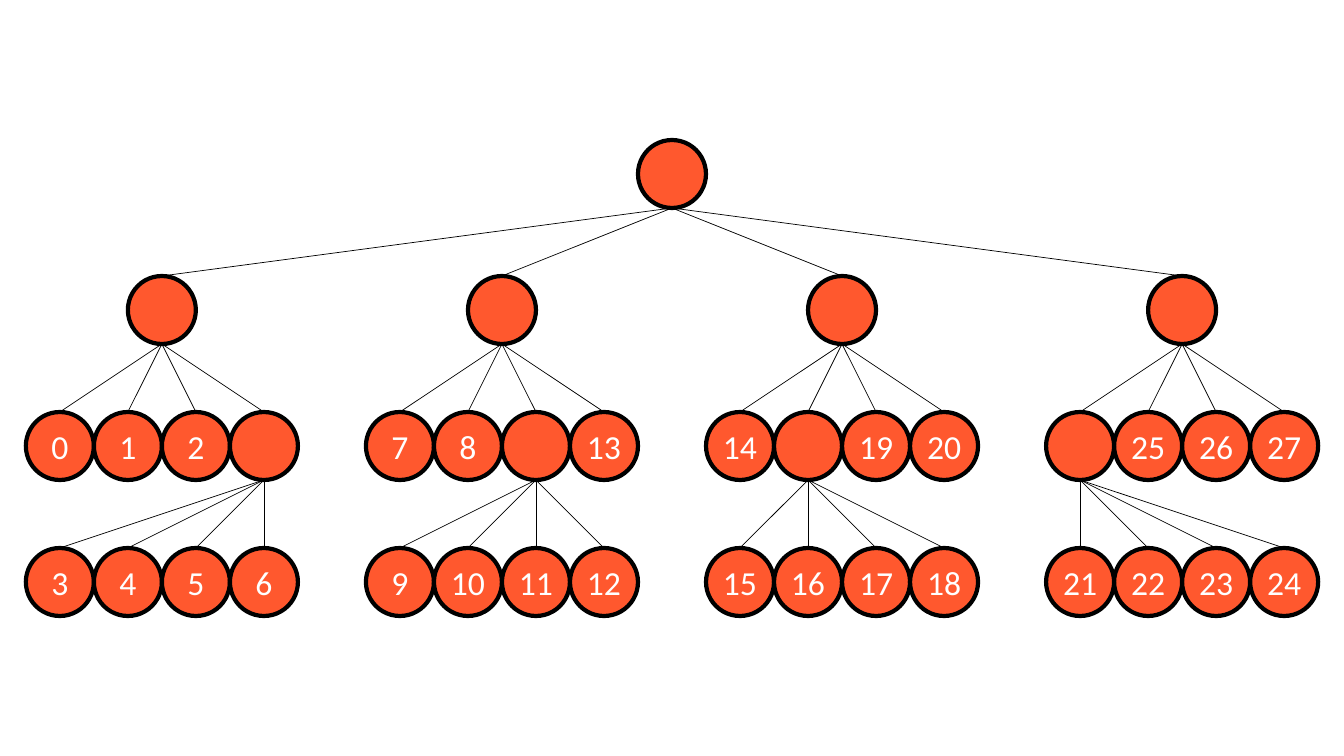
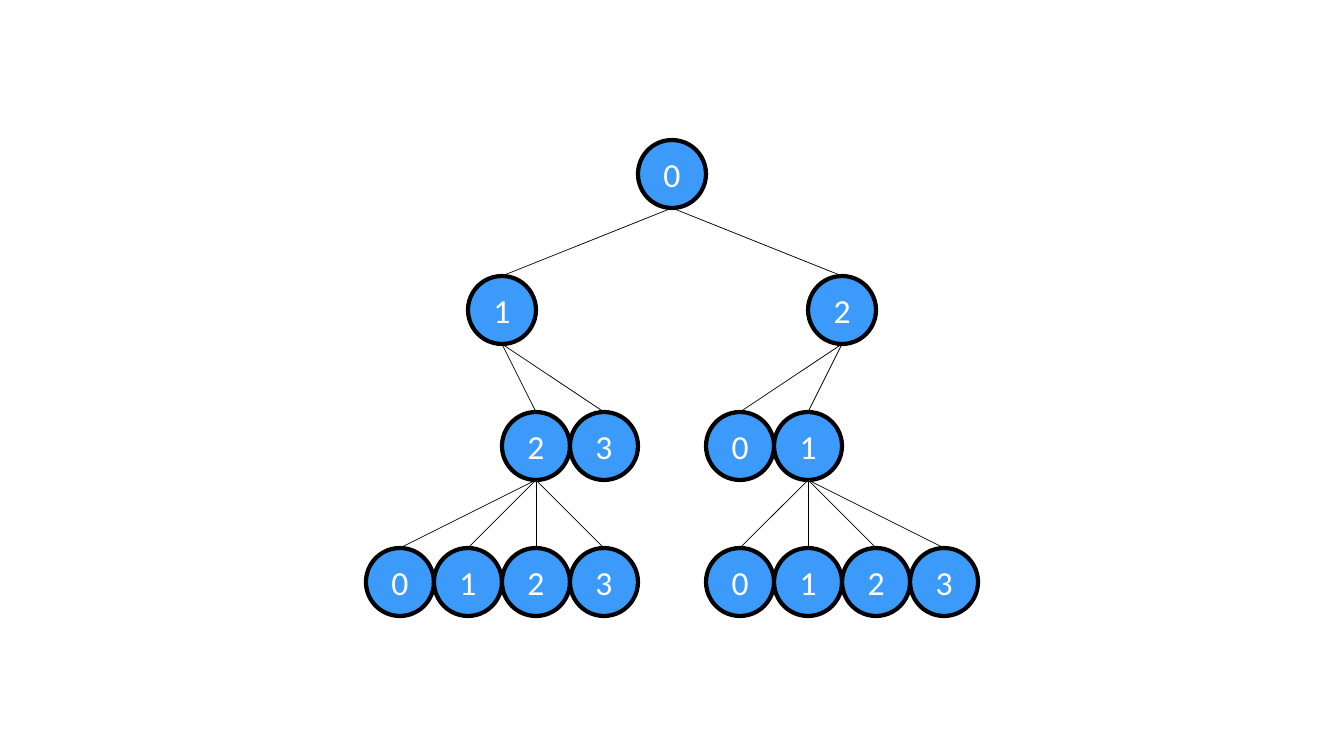
from dataclasses import dataclass

from lxml.etree import SubElement
from pptx import Presentation
from pptx.dml.color import RGBColor
from pptx.enum.shapes import MSO_CONNECTOR, MSO_SHAPE
from pptx.enum.text import MSO_ANCHOR, PP_ALIGN
from pptx.oxml.ns import qn
from pptx.util import Inches, Pt

# Content: one tree per slide. Each branch has its group (0 to 3), its label,
# four slots (None = no node), the slot that opens, and the four leaves below.
TREES = [
    {"fill": "FF582E", "root": "", "branches": [
        (0, "", ["0", "1", "2", ""], 3, ["3", "4", "5", "6"]),
        (1, "", ["7", "8", "", "13"], 2, ["9", "10", "11", "12"]),
        (2, "", ["14", "", "19", "20"], 1, ["15", "16", "17", "18"]),
        (3, "", ["", "25", "26", "27"], 0, ["21", "22", "23", "24"]),
    ]},
    {"fill": "3C9BFA", "root": "0", "branches": [
        (1, "1", [None, None, "2", "3"], 2, ["0", "1", "2", "3"]),
        (2, "2", ["0", "1", None, None], 1, ["0", "1", "2", "3"]),
    ]},
]


@dataclass(frozen=True)
class Theme:
    font: str = "Calibri"
    size: float = 24
    text: str = "FFFFFF"
    line: str = "000000"
    ring: float = 3
    edge: float = 0.5


THEME = Theme()

# Grid: a column is one node wide, a row two nodes high, centred on the slide
WIDE, HIGH = Inches(13.33), Inches(7.5)
NODE = WIDE / 19.76
ROW = 2 * NODE
GROUP, SLOTS, ROWS = 5, 4, 4


def spot(col, row):
    """Centre of a node; column 0 is the middle of the slide."""
    return WIDE / 2 + col * NODE, HIGH / 2 + (row - (ROWS - 1) / 2) * ROW


def stroke(line, width):
    line.color.rgb = RGBColor.from_string(THEME.line)
    line.width = Pt(width)


def write(shape, text, size=THEME.size, color=THEME.text, align=PP_ALIGN.CENTER):
    frame = shape.text_frame
    frame.word_wrap = False
    frame.vertical_anchor = MSO_ANCHOR.MIDDLE
    para = frame.paragraphs[0]
    para.alignment = align
    run = para.add_run()
    run.text = text
    run.font.name = THEME.font
    run.font.size = Pt(size)
    run.font.color.rgb = RGBColor.from_string(color)


def add_node(slide, place, text, fill):
    x, y = spot(*place)
    left, top, size = (int(v) for v in (x - NODE / 2, y - NODE / 2, NODE))
    node = slide.shapes.add_shape(MSO_SHAPE.OVAL, left, top, size, size)
    node.shadow.inherit = False
    node.fill.solid()
    node.fill.fore_color.rgb = RGBColor.from_string(fill)
    stroke(node.line, THEME.ring)
    if text:
        write(node, text)


def add_edge(slide, parent, child):
    (x1, y1), (x2, y2) = spot(*parent), spot(*child)
    ends = (int(v) for v in (x1, y1 + NODE / 2, x2, y2 - NODE / 2))
    edge = slide.shapes.add_connector(MSO_CONNECTOR.STRAIGHT, *ends)
    stroke(edge.line, THEME.edge)
    SubElement(edge.element.spPr, qn("a:effectLst"))


def lay_out(tree):
    """List the nodes (place, text) and edges (parent, child) of a tree."""
    root = (0, 0)
    nodes, edges = [(root, tree["root"])], []
    for group, label, mids, opened, leaves in tree["branches"]:
        mid = (group - 1.5) * GROUP
        first = mid - (SLOTS - 1) / 2
        head = (mid, 1)
        nodes.append((head, label))
        edges.append((root, head))
        levels = [(2, head, mids), (3, (first + opened, 2), leaves)]
        for row, parent, texts in levels:
            for slot, text in enumerate(texts):
                if text is not None:
                    place = (first + slot, row)
                    nodes.append((place, text))
                    edges.append((parent, place))
    return nodes, edges


def main():
    deck = Presentation()
    deck.slide_width, deck.slide_height = WIDE, HIGH
    for tree in TREES:
        slide = deck.slides.add_slide(deck.slide_layouts[6])
        nodes, edges = lay_out(tree)
        # Nodes first, then the edges on top
        for place, text in nodes:
            add_node(slide, place, text, tree["fill"])
        for parent, child in edges:
            add_edge(slide, parent, child)
    deck.save("out.pptx")


if __name__ == "__main__":
    main()
